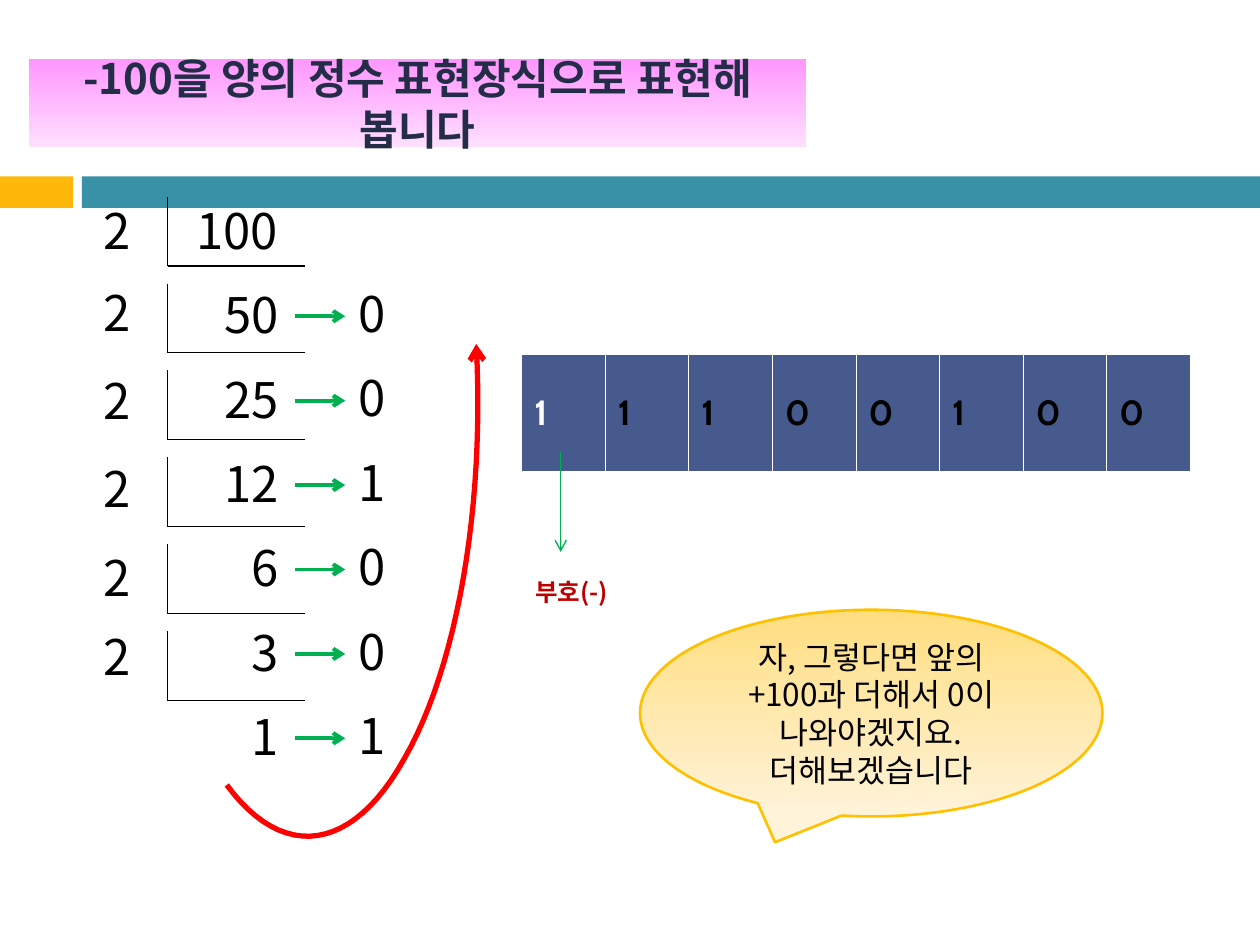
from lxml import etree
from pptx import Presentation
from pptx.dml.color import RGBColor
from pptx.enum.shapes import MSO_CONNECTOR, MSO_SHAPE
from pptx.enum.text import MSO_ANCHOR, MSO_AUTO_SIZE, PP_ALIGN
from pptx.oxml import parse_xml
from pptx.oxml.ns import nsdecls, qn
from pptx.util import Inches, Pt

FONT = "Noto Sans CJK KR"
GREEN = "00B050"


def rgb(value):
    return RGBColor.from_string(value)


def write(tf, text, size=28, color="000000", bold=False, font=FONT, align=PP_ALIGN.LEFT):
    p = tf.paragraphs[0]
    p.alignment = align
    r = p.add_run()
    r.text = text
    r.font.size, r.font.bold, r.font.name = Pt(size), bold, font
    r.font.color.rgb = rgb(color)
    etree.SubElement(r.font._element, qn("a:ea"), typeface=font)


def add_text(shapes, text, x, y, w, h, wrap=False, **fmt):
    tf = shapes.add_textbox(Inches(x), Inches(y), Inches(w), Inches(h)).text_frame
    tf.word_wrap = wrap
    write(tf, text, **fmt)


def add_arrowhead(line):
    etree.SubElement(line._get_or_add_ln(), qn("a:tailEnd"), type="arrow")


def add_line(shapes, x1, y1, x2, y2, color="000000", width=0.79, arrow=False):
    line = shapes.add_connector(MSO_CONNECTOR.STRAIGHT, Inches(x1), Inches(y1),
                                Inches(x2), Inches(y2))
    line.line.color.rgb = rgb(color)
    line.line.width = Pt(width)
    if arrow:
        add_arrowhead(line.line)
    etree.SubElement(line._element.spPr, qn("a:effectLst"))


def fill_downwards(shape, top, bottom):
    """Vertical two-colour gradient."""
    shape.fill.gradient()
    shape.fill.gradient_angle = 270
    for stop, color, position in zip(shape.fill.gradient_stops, (top, bottom), (0, 1)):
        stop.color.rgb = rgb(color)
        stop.position = position


def add_title(s, x, y, w, h):
    sp = s.shapes.title
    sp.left, sp.top, sp.width, sp.height = map(Inches, (x, y, w, h))
    sp._element.spPr.append(parse_xml(
        f'<a:prstGeom {nsdecls("a")} prst="roundRect"><a:avLst/></a:prstGeom>'))
    fill_downwards(sp, "FF97FF", "FFDFFF")
    tf = sp.text_frame
    tf.word_wrap = True
    tf.auto_size = MSO_AUTO_SIZE.NONE
    tf.vertical_anchor = MSO_ANCHOR.MIDDLE
    write(tf, "-100을 양의 정수 표현장식으로 표현해 봅니다", size=24,
          color="232D47", bold=True, align=PP_ALIGN.CENTER)


def add_header_band(s, y, h):
    for x, w, color in ((0, 0.58, "FEB80A"), (0.65, 9.35, "3891A7")):
        bar = s.shapes.add_shape(MSO_SHAPE.RECTANGLE, Inches(x), Inches(y),
                                 Inches(w), Inches(h))
        bar.shadow.inherit = False
        bar.fill.solid()
        bar.fill.fore_color.rgb = rgb(color)
        bar.line.fill.background()


def add_division(s, x, y, number):
    """Repeated division by two, one row for each quotient."""
    shapes = s.shapes.add_group_shape().shapes
    pitch, bracket_pitch, text_h = 0.67, 0.69, 0.57
    divisor_offsets = (0, 0.65, 1.35, 2.05, 2.76, 3.38)
    bracket_x = x + 0.61
    row, remainder = 0, None
    while number:
        top = y + row * pitch
        width = 0.19 + 0.22 * len(str(number))
        add_text(shapes, str(number), x + 1.59 - width, top, width, text_h)
        if remainder is not None:
            add_line(shapes, x + 1.62, top + 0.3, x + 2.02, top + 0.3,
                     color=GREEN, width=2.25, arrow=True)
            add_text(shapes, str(remainder), x + 2.03, top - 0.01, 0.41, text_h)
        if number > 1:
            add_text(shapes, "2", x, y + divisor_offsets[row], 0.41, text_h)
            bracket_y = y + 0.02 + row * bracket_pitch
            base = bracket_y + 0.55
            add_line(shapes, bracket_x, bracket_y, bracket_x, base)
            add_line(shapes, bracket_x, base, bracket_x + 1.09, base)
        number, remainder = divmod(number, 2)
        row += 1


def add_border(cell, side, width):
    cell._tc.get_or_add_tcPr().append(parse_xml(
        f'<a:{side} {nsdecls("a")} w="{Pt(width)}"><a:solidFill>'
        f'<a:srgbClr val="FFFFFF"/></a:solidFill></a:{side}>'))


def add_bits(s, x, y, w, h, bits):
    table = s.shapes.add_table(1, len(bits), Inches(x), Inches(y),
                               Inches(w), Inches(h)).table
    for i, bit in enumerate(bits):
        cell = table.cell(0, i)
        for side, width in (("lnL", 0.45), ("lnR", 0.45), ("lnT", 0.45), ("lnB", 1.47)):
            add_border(cell, side, width)
        cell.fill.solid()
        cell.fill.fore_color.rgb = rgb("475A8D")
        cell.vertical_anchor = MSO_ANCHOR.MIDDLE
        write(cell.text_frame, bit, size=20, bold=True, font="Cabin",
              color="000000" if i else "FFFFFF")


def add_sign_note(s, x, y):
    add_line(s.shapes, x + 0.3, y, x + 0.3, y + 0.79, color=GREEN, arrow=True)
    add_text(s.shapes, "부호(-)", x, y + 0.94, 0.8, 0.34, wrap=True,
             size=14, color="C00000", bold=True)


def add_callout(s, x, y, w, h):
    sp = s.shapes.add_shape(MSO_SHAPE.OVAL_CALLOUT, Inches(x), Inches(y),
                            Inches(w), Inches(h))
    sp.shadow.inherit = False
    sp.adjustments[0], sp.adjustments[1] = -0.208, 0.625
    fill_downwards(sp, "FFDE80", "FFF3DA")
    sp.line.color.rgb = rgb("FFC000")
    sp.line.width = Pt(1.5)
    tf = sp.text_frame
    tf.word_wrap = True
    tf.vertical_anchor = MSO_ANCHOR.MIDDLE
    write(tf, "자, 그렇다면 앞의 +100과 더해서 0이 나와야겠지요. 더해보겠습니다",
          size=18, align=PP_ALIGN.CENTER)


def bezier(points, t):
    weights = ((1 - t) ** 3, 3 * t * (1 - t) ** 2, 3 * t ** 2 * (1 - t), t ** 3)
    return tuple(Inches(sum(k * p[axis] for k, p in zip(weights, points)))
                 for axis in (0, 1))


def add_reading_arrow(s, x, y):
    """Curved arrow from the last remainder up to the first."""
    curves = (((0, 3.5), (0.45, 4.11), (1, 4.03), (1.41, 3.29)),
              ((1.41, 3.29), (1.83, 2.56), (2.05, 1.28), (1.98, 0)))
    steps = 24
    placed = [[(x + dx, y + dy) for dx, dy in curve] for curve in curves]
    points = [bezier(curve, i / steps) for curve in placed for i in range(1, steps + 1)]
    builder = s.shapes.build_freeform(*bezier(placed[0], 0))
    builder.add_line_segments(points, close=False)
    sp = builder.convert_to_shape()
    sp.shadow.inherit = False
    sp.fill.background()
    sp.line.color.rgb = rgb("FF0000")
    sp.line.width = Pt(3)
    add_arrowhead(sp.line)


def main():
    prs = Presentation()
    prs.slide_width, prs.slide_height = Inches(10), Inches(7.5)
    s = prs.slides.add_slide(prs.slide_layouts[5])
    add_header_band(s, 1.4, 0.25)
    add_title(s, 0.23, 0.47, 6.17, 0.7)
    add_division(s, 0.72, 1.54, 100)
    add_bits(s, 4.14, 2.81, 5.31, 0.94, "11100100")
    add_sign_note(s, 4.15, 3.59)
    add_callout(s, 5.08, 4.84, 3.67, 1.64)
    add_reading_arrow(s, 1.8, 2.73)
    prs.save("out.pptx")


if __name__ == "__main__":
    main()
